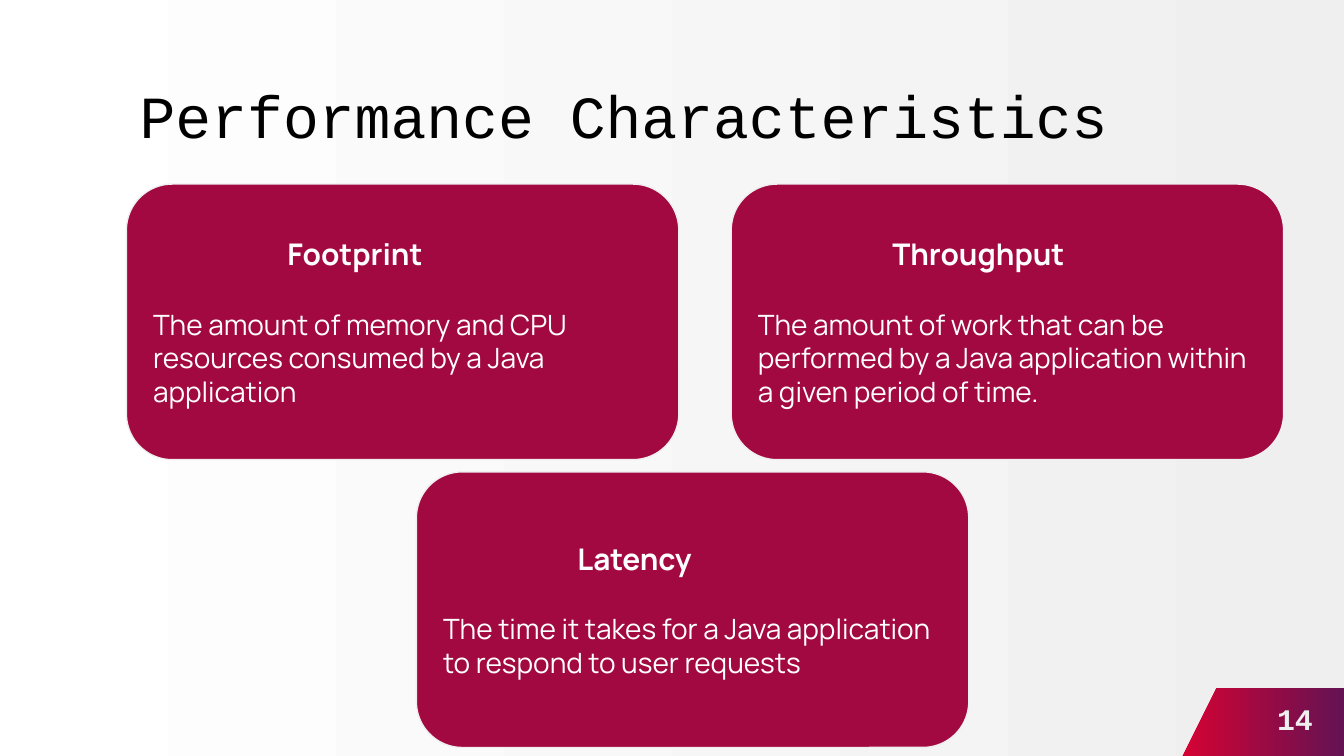
import pptx
import pptx.dml.color
import pptx.enum.shapes
import pptx.enum.text
import pptx.util

Cm, Pt = pptx.util.Cm, pptx.util.Pt
ALIGN = pptx.enum.text.PP_ALIGN

COLORS = {"black": "000000", "white": "FFFFFF", "pale": "EFEFEF",
          "crimson": "A30941", "red": "E20030", "navy": "00216E"}
MONO, SANS = "Courier New", "Manrope"

TITLE = "Performance Characteristics"
PAGE_NUMBER = "14"
# Heading, description, left and top in cm
CARDS = [
    ("Footprint",
     "The amount of memory and CPU resources consumed by a Java application",
     2.39, 3.48),
    ("Throughput",
     "The amount of work that can be performed by a Java application within a given period of time.",
     13.82, 3.48),
    ("Latency",
     "The time it takes for a Java application to respond to user requests",
     7.87, 8.92),
]
CARD_WIDTH, CARD_HEIGHT = 10.44, 5.21

# Corner outline in cm: one point is a line, three points are a cubic curve
CORNER_START = (23.9, 12.8)
CORNER = [
    [(23.55, 12.8), (23.24, 12.98), (23.06, 13.28)],
    [(22.05, 15.04)],
    [(21.87, 15.34), (21.87, 15.7), (22.05, 16)],
    [(22.3, 16.43), (22.5, 16.79), (22.66, 17.07)],
    [(23.24, 18.14), (23.32, 18.26), (24.26, 18.26)],
    [(25.93, 18.24)],
    [(26.29, 18.24), (26.59, 18.06), (26.77, 17.78)],
    [(27.79, 16)],
    [(27.97, 15.7), (27.97, 15.34), (27.79, 15.04)],
    [(26.77, 13.28)],
    [(26.59, 12.98), (26.29, 12.8), (25.93, 12.8)],
]


def rgb(name):
    return pptx.dml.color.RGBColor.from_string(COLORS[name])


def fill_gradient(fill, first, last, angle):
    fill.gradient()
    fill.gradient_angle = angle
    for stop, name in zip(fill.gradient_stops, (first, last)):
        stop.color.rgb = rgb(name)


def flatten(start, segments, steps=16):
    """Turn lines and cubic curves into a list of points."""
    points = [start]
    for segment in segments:
        if len(segment) == 1:
            points += segment
            continue
        controls = [points[-1], *segment]
        for step in range(1, steps + 1):
            t = step / steps
            weights = ((1 - t) ** 3, 3 * t * (1 - t) ** 2, 3 * t ** 2 * (1 - t), t ** 3)
            points.append(tuple(sum(w * p[axis] for w, p in zip(weights, controls))
                                for axis in (0, 1)))
    return points


def prepare_frame(shape):
    frame = shape.text_frame
    frame.word_wrap = True
    frame.vertical_anchor = pptx.enum.text.MSO_ANCHOR.MIDDLE
    frame.margin_left = frame.margin_right = Cm(0.25)
    frame.margin_top = frame.margin_bottom = Cm(0.25)
    return frame


def write(paragraph, text, font, size, color, bold=False, align=ALIGN.LEFT):
    paragraph.text = text
    paragraph.alignment = align
    paragraph.font.name = font
    paragraph.font.size = Pt(size)
    paragraph.font.bold = bold
    paragraph.font.color.rgb = rgb(color)


def add_label(slide, box, *style):
    frame = prepare_frame(slide.shapes.add_textbox(*map(Cm, box)))
    write(frame.paragraphs[0], *style)


def add_corner(slide):
    points = flatten(CORNER_START, CORNER)
    builder = slide.shapes.build_freeform(*points[0], scale=Cm(1))
    builder.add_line_segments(points[1:], close=True)
    corner = builder.convert_to_shape()
    corner.shadow.inherit = False
    corner.line.fill.background()
    fill_gradient(corner.fill, "red", "navy", 0)


def add_card(slide, heading, description, left, top):
    card = slide.shapes.add_shape(
        pptx.enum.shapes.MSO_SHAPE.ROUNDED_RECTANGLE,
        Cm(left), Cm(top), Cm(CARD_WIDTH), Cm(CARD_HEIGHT))
    card.shadow.inherit = False
    card.fill.solid()
    card.fill.fore_color.rgb = rgb("crimson")
    card.line.color.rgb = rgb("pale")
    card.line.width = Pt(0.75)
    frame = prepare_frame(card)
    title = frame.paragraphs[0]
    write(title, heading, SANS, 16, "white", True)
    title.space_after = Pt(19)
    title._p.get_or_add_pPr().set("marL", str(Cm(2.54)))
    write(frame.add_paragraph(), description, SANS, 15, "white")


def main():
    presentation = pptx.Presentation()
    presentation.slide_width, presentation.slide_height = Cm(25.4), Cm(14.29)
    slide = presentation.slides.add_slide(presentation.slide_layouts[6])
    fill_gradient(slide.background.fill, "pale", "white", 180)
    add_corner(slide)
    add_label(slide, (2.39, 1.42, 21.44, 1.5), TITLE, MONO, 32, "black")
    add_label(slide, (23.55, 12.8, 1.85, 1.57), PAGE_NUMBER, MONO, 16, "pale",
              True, ALIGN.CENTER)
    for card in CARDS:
        add_card(slide, *card)
    presentation.save("out.pptx")


if __name__ == "__main__":
    main()
